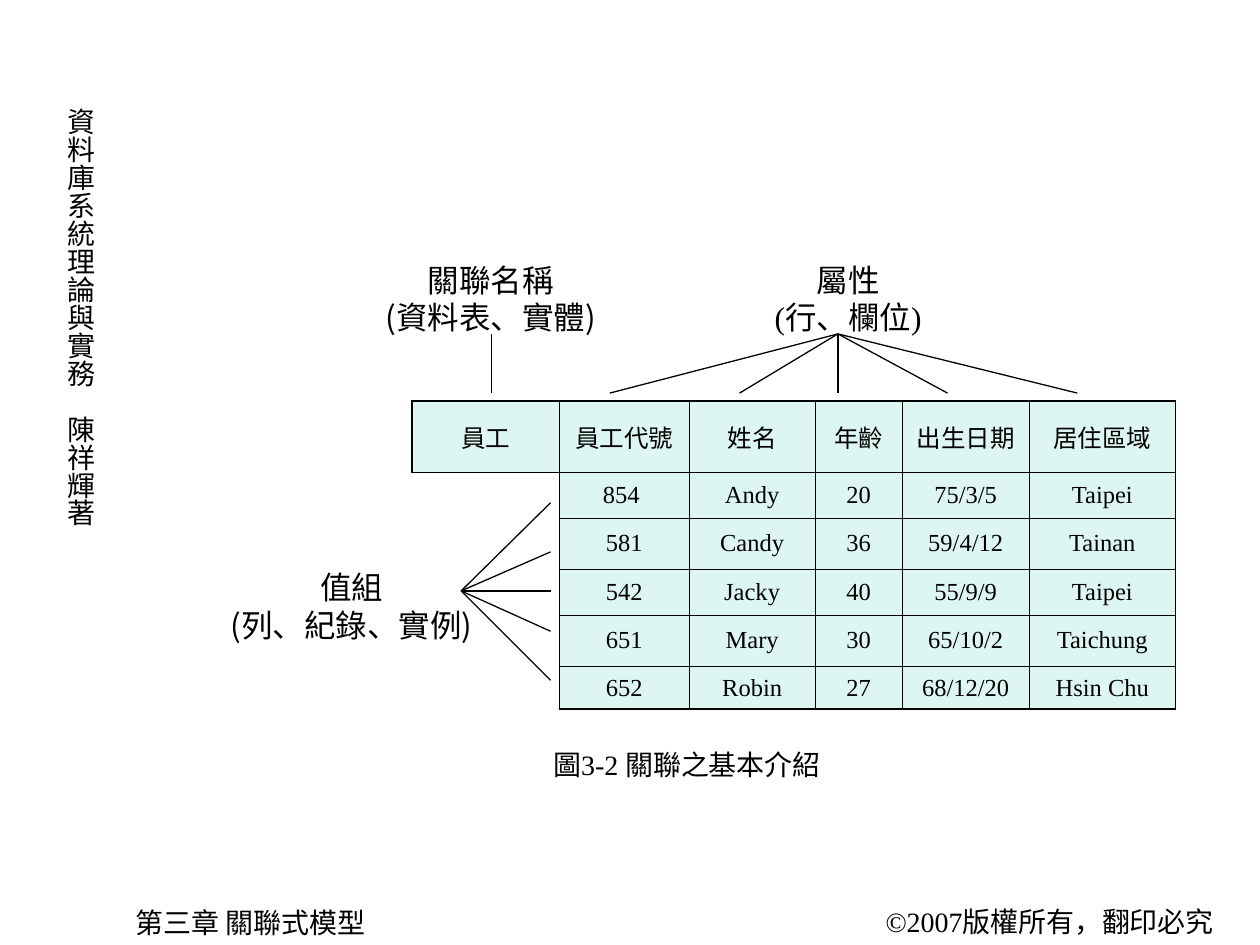
"""Build the slide that names the parts of a relation: name, attributes and tuples."""
from lxml import etree
from pptx import Presentation
from pptx.dml.color import RGBColor
from pptx.enum.shapes import MSO_CONNECTOR
from pptx.enum.text import MSO_ANCHOR, MSO_AUTO_SIZE, PP_ALIGN
from pptx.oxml.ns import qn
from pptx.util import Inches, Pt

LEFT, CENTER = PP_ALIGN.LEFT, PP_ALIGN.CENTER
TOP, MIDDLE = MSO_ANCHOR.TOP, MSO_ANCHOR.MIDDLE
STRAIGHT = MSO_CONNECTOR.STRAIGHT
SERIF, SANS = "Times New Roman", "Noto Sans CJK SC"
BLACK, MINT = "000000", "DEF6F1"
OUTER, INNER, HAIR = 1.08, 0.45, 0.23

presentation = Presentation()
presentation.slide_width, presentation.slide_height = Inches(10), Inches(7.5)
COLUMN = presentation.slide_width / 100
ROW = presentation.slide_height / 75
slide = presentation.slides.add_slide(presentation.slide_layouts[5])


def grid(left, top, width, height):
    """Turn grid columns and rows into slide lengths."""
    return [round(left * COLUMN), round(top * ROW), round(width * COLUMN), round(height * ROW)]


def write(frame, text, size, font=SERIF, alignment=LEFT, anchor=TOP):
    """Put one formatted paragraph into a text frame or a table cell."""
    frame.text = text
    frame.word_wrap = True
    frame.vertical_anchor = anchor
    paragraph = frame.paragraphs[0]
    paragraph.alignment = alignment
    paragraph.font.size = Pt(size)
    paragraph.font.name = font
    paragraph.font.color.rgb = RGBColor.from_string(BLACK)


caption = slide.shapes.title
caption.left, caption.top, caption.width, caption.height = grid(42.9, 58.8, 33.9, 3.7)
write(caption.text_frame, "圖3-2 關聯之基本介紹", 16)
caption.text_frame.auto_size = MSO_AUTO_SIZE.NONE

for text, place in [
    ("©2007版權所有，翻印必究", (69.3, 71.3, 30.3, 3.7)),
    ("第三章 關聯式模型", (9.8, 71.4, 39.4, 3.7)),
]:
    write(slide.shapes.add_textbox(*grid(*place)).text_frame, text, 16)

book_frame = slide.shapes.add_textbox(*grid(3.6, 7.6, 4.6, 35.4)).text_frame
write(book_frame, "資料庫系統理論與實務\u3000陳祥輝著".replace("\u3000", "　"), 16)
book_frame.margin_left = book_frame.margin_right = Inches(0.05)
book_frame.margin_top = book_frame.margin_bottom = Inches(0.1)
book_frame._txBody.bodyPr.set("vert", "eaVert")

records = [
    ["員工", "員工代號", "姓名", "年齡", "出生日期", "居住區域"],
    ["", "854 ", "Andy", "20", "75/3/5", "Taipei"],
    ["", "581", "Candy", "36", "59/4/12", "Tainan"],
    ["", "542", "Jacky", "40", "55/9/9", "Taipei"],
    ["", "651", "Mary", "30", "65/10/2", "Taichung"],
    ["", "652", "Robin", "27", "68/12/20", "Hsin Chu"],
]
column_widths = [11.7, 10.3, 10, 6.9, 10.1, 11.6]
row_heights = [5.7, 3.6, 4.1, 3.6, 4.1, 3.4]
vertical_edges = [OUTER, OUTER, INNER, INNER, INNER, INNER, OUTER]
horizontal_edges = [OUTER, INNER, HAIR, HAIR, HAIR, HAIR, OUTER]

table = slide.shapes.add_table(6, 6, *grid(32.7, 31.8, sum(column_widths), sum(row_heights))).table
table.first_row = table.horz_banding = False
for column, width in zip(table.columns, column_widths):
    column.width = round(width * COLUMN)
for row, height in zip(table.rows, row_heights):
    row.height = round(height * ROW)
table.cell(1, 0).merge(table.cell(5, 0))

for row, record in enumerate(records):
    for column, text in enumerate(record):
        cell = table.cell(row, column)
        if column:
            left, right = vertical_edges[column:column + 2]
            top, bottom = horizontal_edges[row:row + 2]
        else:
            left = bottom = 0 if row else OUTER
            right, top = OUTER, OUTER if row < 2 else 0
        properties = cell._tc.get_or_add_tcPr()
        for side, weight in zip("LRTB", (left, right, top, bottom)):
            line = etree.SubElement(properties, qn(f"a:ln{side}"), w=str(Pt(weight)))
            if weight:
                paint = etree.SubElement(line, qn("a:solidFill"))
                etree.SubElement(paint, qn("a:srgbClr"), val=BLACK)
            else:
                etree.SubElement(line, qn("a:noFill"))
        if text:
            cell.fill.solid()
            cell.fill.fore_color.rgb = RGBColor.from_string(MINT)
            write(cell.text_frame, text, 14, alignment=CENTER)
            cell.vertical_anchor = MIDDLE
        else:
            cell.fill.background()

callouts = [
    ("屬性\v(行、欄位)", SERIF, (53.9, 20.2, 26.8, 7), (66.5, 26.5),
     [(x, 31.2) for x in (48.4, 58.7, 66.5, 75.2, 85.5)]),
    ("值組\v(列、紀錄、實例)", SANS, (14.5, 44.6, 26.8, 7), (36.6, 46.9),
     [(43.7, y) for y in (39.9, 43.8, 46.9, 50.1, 54)]),
    ("關聯名稱\v(資料表、實體)", SANS, (24, 20.2, 29.9, 7), (39, 26.5), [(39, 31.2)]),
]
for text, font, place, start, ends in callouts:
    group = slide.shapes.add_group_shape()
    write(group.shapes.add_textbox(*grid(*place)).text_frame, text, 18, font, CENTER)
    for end in ends:
        connector = group.shapes.add_connector(STRAIGHT, *grid(*start, *end))
        connector.line.width = Pt(0.75)
        connector.line.color.rgb = RGBColor.from_string(BLACK)
        etree.SubElement(connector._element.spPr, qn("a:effectLst"))

presentation.save("out.pptx")
